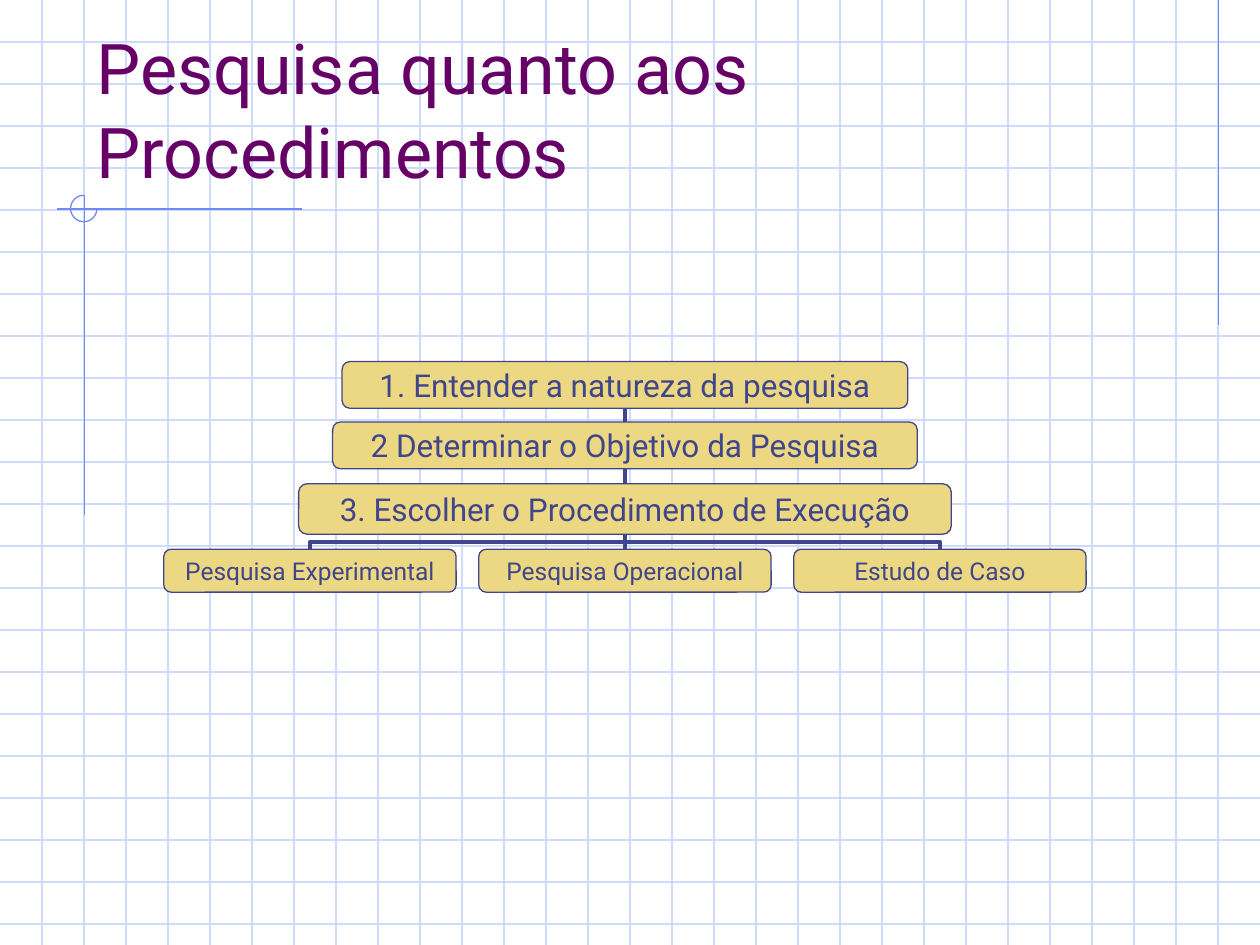
from dataclasses import dataclass

from lxml import etree
from pptx import Presentation
from pptx.dml.color import RGBColor
from pptx.enum.shapes import MSO_CONNECTOR, MSO_SHAPE
from pptx.enum.text import MSO_ANCHOR, PP_ALIGN
from pptx.oxml.ns import qn
from pptx.shapes.autoshape import Shape
from pptx.shapes.connector import Connector
from pptx.slide import Slide
from pptx.util import Inches, Pt

STRAIGHT, ELBOW = MSO_CONNECTOR.STRAIGHT, MSO_CONNECTOR.ELBOW
ROUNDED, ARC = MSO_SHAPE.ROUNDED_RECTANGLE, MSO_SHAPE.ARC
MIDDLE, BOTTOM = MSO_ANCHOR.MIDDLE, MSO_ANCHOR.BOTTOM
CENTER, LEFT = PP_ALIGN.CENTER, PP_ALIGN.LEFT
TOP_SITE, BOTTOM_SITE = 0, 2
QUARTER_TURN, THREE_QUARTER_TURN = "5400000", "16200000"


@dataclass(frozen=True)
class Theme:
    font: str = "Roboto"
    grid: RGBColor = RGBColor(0xCF, 0xDB, 0xFD)
    accent: RGBColor = RGBColor(0x6F, 0x89, 0xF7)
    title: RGBColor = RGBColor(0x66, 0x00, 0x66)
    ink: RGBColor = RGBColor(0x40, 0x45, 0x8C)
    box_fill: RGBColor = RGBColor(0xEC, 0xD8, 0x82)
    title_size: float = 40
    step_size: float = 18
    option_size: float = 14
    thin: float = 0.75
    thick: float = 2.25


@dataclass(frozen=True)
class Node:
    text: str
    center: float
    top: float
    width: float
    height: float
    size: float


THEME = Theme()
PAGE_WIDTH, PAGE_HEIGHT = 10, 7.5
CELLS_PER_INCH = 3
CHART_CENTER, OPTION_GAP = 4.96, 2.5

STEPS = [
    Node("1. Entender a natureza da pesquisa", CHART_CENTER, 2.87, 4.49, 0.37, THEME.step_size),
    Node("2 Determinar o Objetivo da Pesquisa", CHART_CENTER, 3.35, 4.64, 0.37, THEME.step_size),
    Node("3. Escolher o Procedimento de Execução", CHART_CENTER, 3.84, 5.18, 0.4, THEME.step_size),
]
OPTIONS = [
    Node(text, CHART_CENTER + offset * OPTION_GAP, 4.36, 2.32, 0.34, THEME.option_size)
    for offset, text in enumerate(
        ["Pesquisa Experimental", "Pesquisa Operacional", "Estudo de Caso"], start=-1
    )
]


def style_line(line: Connector, color: RGBColor, weight: float) -> None:
    line.line.color.rgb = color
    line.line.width = Pt(weight)
    etree.SubElement(line._element.spPr, qn("a:effectLst"))


def add_rule(page: Slide, x1: float, y1: float, x2: float, y2: float, color: RGBColor) -> None:
    rule = page.shapes.add_connector(STRAIGHT, Inches(x1), Inches(y1), Inches(x2), Inches(y2))
    style_line(rule, color, THEME.thin)


def write_text(box: Shape, text: str, size: float, color: RGBColor, align: PP_ALIGN) -> None:
    para = box.text_frame.paragraphs[0]
    para.alignment = align
    span = para.add_run()
    span.text = text
    span.font.name = THEME.font
    span.font.size = Pt(size)
    span.font.color.rgb = color


def add_background(page: Slide) -> None:
    # Graph paper
    for row in range(1, int(PAGE_HEIGHT * CELLS_PER_INCH) + 1):
        y = row / CELLS_PER_INCH
        add_rule(page, 0, y, PAGE_WIDTH, y, THEME.grid)
    for column in range(1, PAGE_WIDTH * CELLS_PER_INCH):
        x = column / CELLS_PER_INCH
        add_rule(page, x, 0, x, PAGE_HEIGHT, THEME.grid)

    # Accent rules and the three-quarter ring where they cross
    add_rule(page, 9.67, 0, 9.67, 2.58, THEME.accent)
    add_rule(page, 2.4, 1.66, 0.45, 1.66, THEME.accent)
    add_rule(page, 0.67, 1.55, 0.67, 4.09, THEME.accent)
    ring = page.shapes.add_shape(ARC, Inches(0.56), Inches(1.55), Inches(0.21), Inches(0.21))
    ring.adjustments[0], ring.adjustments[1] = 0, 162
    ring.fill.background()
    ring.line.color.rgb = THEME.accent
    ring.line.width = Pt(THEME.thin)
    ring.shadow.inherit = False


def add_title(page: Slide, text: str) -> None:
    box = page.shapes.add_textbox(Inches(0.67), Inches(0.33), Inches(8.5), Inches(1.25))
    box.text_frame.word_wrap = True
    box.text_frame.vertical_anchor = BOTTOM
    write_text(box, text, THEME.title_size, THEME.title, LEFT)


def add_node(page: Slide, node: Node) -> Shape:
    box = page.shapes.add_shape(
        ROUNDED, Inches(node.center - node.width / 2), Inches(node.top),
        Inches(node.width), Inches(node.height),
    )
    box.adjustments[0] = 0.167
    box.shadow.inherit = False
    box.fill.solid()
    box.fill.fore_color.rgb = THEME.box_fill
    box.line.color.rgb = THEME.ink
    box.line.width = Pt(THEME.thin)
    frame = box.text_frame
    frame.word_wrap = False
    frame.vertical_anchor = MIDDLE
    frame.margin_left = frame.margin_right = Inches(0.06)
    frame.margin_top = frame.margin_bottom = Inches(0.03)
    write_text(box, node.text, node.size, THEME.ink, CENTER)
    return box


def add_link(page: Slide, parent: Shape, child: Shape) -> None:
    start_x, start_y = parent.left + parent.width // 2, parent.top + parent.height
    end_x, end_y = child.left + child.width // 2, child.top
    run, drop = end_x - start_x, end_y - start_y
    bent = abs(run) > Inches(0.01)
    link = page.shapes.add_connector(ELBOW if bent else STRAIGHT, start_x, start_y, end_x, end_y)
    link.begin_connect(parent, BOTTOM_SITE)
    link.end_connect(child, TOP_SITE)
    if bent:
        # An elbow leaves sideways, so it is turned to leave downwards
        link.width, link.height = drop, abs(run)
        link.left = (start_x + end_x - drop) // 2
        link.top = (start_y + end_y - abs(run)) // 2
        frame = link._element.spPr.xfrm
        frame.set("rot", THREE_QUARTER_TURN if run > 0 else QUARTER_TURN)
        frame.set("flipH", "1" if run > 0 else "0")
    style_line(link, THEME.ink, THEME.thick)


def main() -> None:
    deck = Presentation()
    deck.slide_width, deck.slide_height = Inches(PAGE_WIDTH), Inches(PAGE_HEIGHT)
    page = deck.slides.add_slide(deck.slide_layouts[6])

    add_background(page)
    add_title(page, "Pesquisa quanto aos Procedimentos")

    # Chain of steps, the last one branching into the options
    steps = [add_node(page, node) for node in STEPS]
    options = [add_node(page, node) for node in OPTIONS]
    for parent, child in zip(steps, steps[1:]):
        add_link(page, parent, child)
    for option in options:
        add_link(page, steps[-1], option)

    deck.save("out.pptx")


if __name__ == "__main__":
    main()
